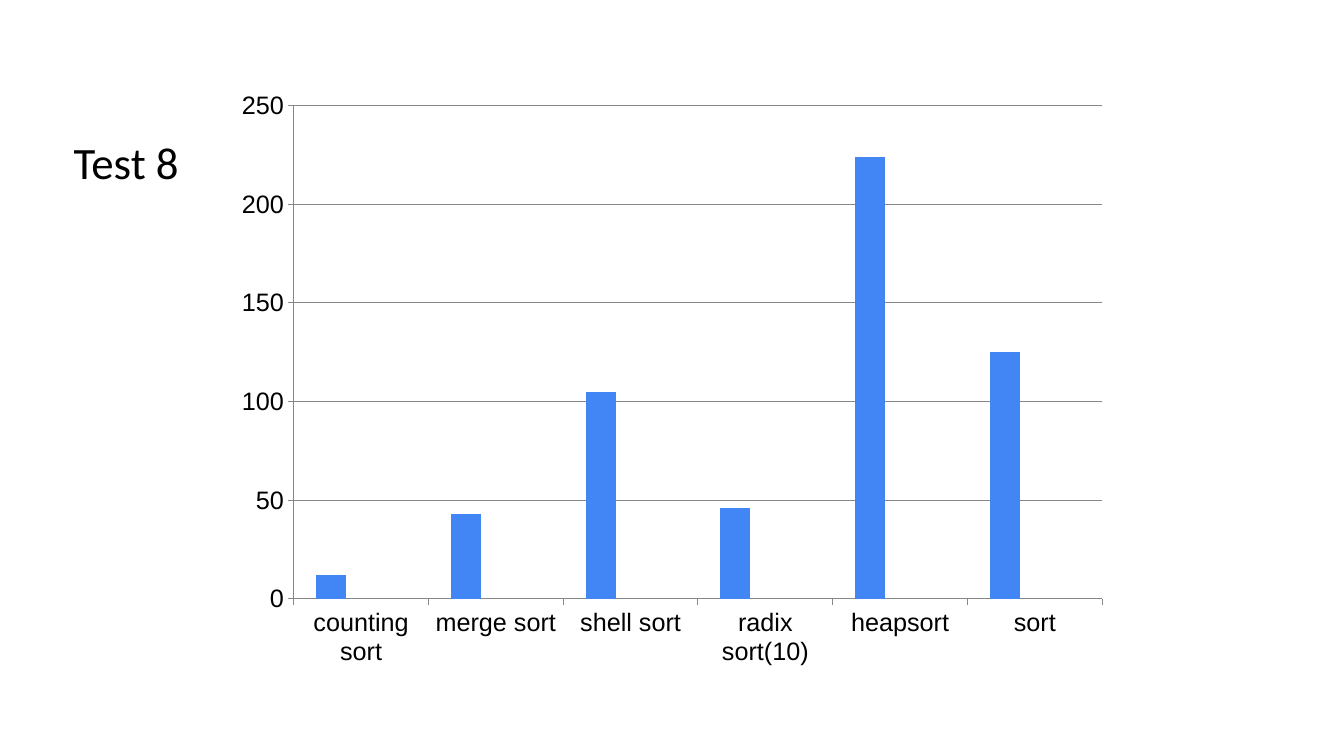
from pptx import Presentation
from pptx.chart.data import CategoryChartData
from pptx.dml.color import RGBColor
from pptx.enum import chart as ch, text
from pptx.util import Inches, Pt

THEME = {
    "font": "Arial", "title_font": "Calibri",
    "chart_size": Pt(18), "title_size": Pt(32),
    "text": RGBColor.from_string("000000"),
    "line": RGBColor.from_string("878787"),
    "series": ["4285F4", "212121", "78909C"],
}

prs = Presentation()
prs.slide_width, prs.slide_height = Inches(13.33), Inches(7.5)
slide = prs.slides.add_slide(prs.slide_layouts[5])

# Title
title = slide.shapes.title
title.left, title.top = Inches(0.63), Inches(1.29)
title.width, title.height = Inches(1.95), Inches(0.94)
tf = title.text_frame
tf.text = "Test 8"
tf.word_wrap = True
tf.auto_size = text.MSO_AUTO_SIZE.NONE
tf.vertical_anchor = text.MSO_ANCHOR.TOP
p = tf.paragraphs[0]
p.alignment = text.PP_ALIGN.LEFT
p.font.name, p.font.size = THEME["title_font"], THEME["title_size"]
p.font.color.rgb = THEME["text"]

# Sorting times; the empty series keep their room beside each column
times = {"counting sort": 12, "merge sort": 43, "shell sort": 105,
         "radix sort(10)": 46, "heapsort": 224, "sort": 125}
data = CategoryChartData()
data.categories = list(times)
data.add_series("Series 1", list(times.values()))
for name in ("Series 2", "Series 3"):
    data.add_series(name, [None] * len(times))

chart = slide.shapes.add_chart(
    ch.XL_CHART_TYPE.COLUMN_CLUSTERED, Inches(2.22), Inches(0.79),
    Inches(8.89), Inches(5.93), data).chart
chart.has_legend = False
chart.has_title = False
chart.font.name, chart.font.size = THEME["font"], THEME["chart_size"]
chart.font.color.rgb = THEME["text"]

# Columns
plot = chart.plots[0]
plot.gap_width, plot.overlap = 150, 0
plot.vary_by_categories = False
for series, color in zip(plot.series, THEME["series"]):
    series.format.fill.solid()
    series.format.fill.fore_color.rgb = RGBColor.from_string(color)

# Axes and gridlines
values = chart.value_axis
values.minimum_scale, values.maximum_scale, values.major_unit = 0, 250, 50
values.has_major_gridlines = True
chart.category_axis.has_major_gridlines = False
for axis in (chart.category_axis, values):
    axis.major_tick_mark = ch.XL_TICK_MARK.OUTSIDE
    axis.minor_tick_mark = ch.XL_TICK_MARK.NONE
for part in (chart.category_axis, values, values.major_gridlines):
    part.format.line.color.rgb = THEME["line"]
    part.format.line.width = Pt(0.75)

prs.save("out.pptx")
